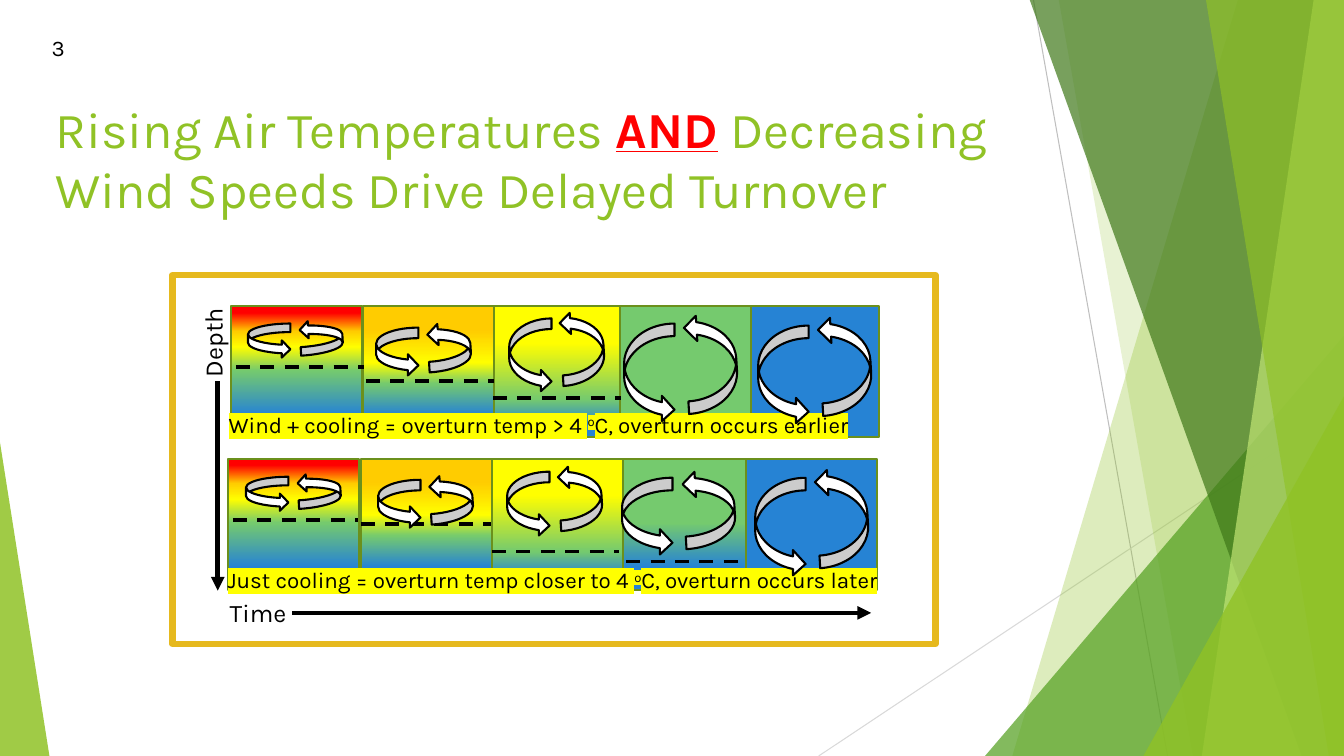
from lxml import etree
from pptx import Presentation
from pptx.dml.color import RGBColor
from pptx.enum import dml, shapes, text
from pptx.oxml import ns
from pptx.util import Inches, Pt

FONT = "Karla"
BLACK, WHITE, YELLOW, BLUE, GREEN = "000000", "FFFFFF", "FFFF00", "2683D4", "75CA6E"
LIME, FOREST, OLIVE, PALE = "90C226", "54A021", "3F7819", "C0E474"

# Gradient stops from the bottom (cold) to the top (warm) of the water
HOT = [(17, BLUE), (51, GREEN), (69, "FFFE00"), (81, "FFCC00"), (95, "FF0000")]
WARM = [(17, BLUE), (41, GREEN), (57, "FFFE00"), (82, "FFCC00")]
MILD = [(10, BLUE), (29, GREEN), (72, "FFFE00")]
COOL = [(17, BLUE), (51, GREEN)]

# Columns in drawing order: left, water colour, thermocline (from, to, y)
WINDY_WATER = [
    (2.29, HOT, (2.34, 3.61, 3.64)),
    (3.6, WARM, (3.63, 4.9, 3.78)),
    (4.9, MILD, (4.89, 6.16, 3.95)),
    (7.42, BLUE, None),
    (6.15, GREEN, None),
]
CALM_WATER = [
    (6.12, COOL, (6.21, 7.42, 5.57)),
    (2.26, HOT, (2.31, 3.55, 5.16)),
    (3.58, WARM, (3.58, 4.87, 5.2)),
    (4.88, MILD, (4.88, 6.14, 5.47)),
    (7.4, BLUE, None),
]
# Mixing cells: left, top, width and height of the left arrow
WINDY_MIXING = [(2.46, 3.21, 0.42, 0.34), (3.73, 3.25, 0.42, 0.48), (5.05, 3.16, 0.42, 0.73),
                (6.19, 3.21, 0.5, 0.98), (7.52, 3.23, 0.5, 0.98)]
CALM_MIXING = [(2.44, 4.73, 0.42, 0.34), (3.75, 4.76, 0.42, 0.48), (5.03, 4.68, 0.42, 0.64),
               (6.17, 4.74, 0.5, 0.77), (7.49, 4.74, 0.5, 0.98)]


def rgb(color):
    return RGBColor.from_string(color)


def sub(parent, tag, **attributes):
    return etree.SubElement(parent, ns.qn(tag), **attributes)


class TurnoverSlide:
    def __init__(self, slide):
        self.slide = slide
        self.shapes = slide.shapes

    def paint(self, shape, fill, line=None, width=1.5, opacity=100):
        shape.shadow.inherit = False
        if isinstance(fill, list):
            self.gradient(shape, fill)
        else:
            shape.fill.solid()
            shape.fill.fore_color.rgb = rgb(fill)
        if opacity < 100:
            color = shape.fill._xPr.find(".//" + ns.qn("a:srgbClr"))
            sub(color, "a:alpha", val=str(opacity * 1000))
        if line:
            shape.line.color.rgb = rgb(line)
            shape.line.width = Pt(width)
        else:
            shape.line.fill.background()
        return shape

    def gradient(self, shape, stops):
        shape.fill.gradient()
        shape.fill.gradient_angle = 90
        stop_list = shape._element.spPr.find(".//" + ns.qn("a:gsLst"))
        for stop in list(stop_list):
            stop_list.remove(stop)
        for position, color in stops:
            sub(sub(stop_list, "a:gs", pos=str(position * 1000)), "a:srgbClr", val=color)

    def shape(self, kind, box, fill, line=None, width=1.5, opacity=100, parent=None):
        shape = (parent or self.shapes).add_shape(kind, *map(Inches, box))
        return self.paint(shape, fill, line, width, opacity)

    def triangle(self, box, apex, fill, opacity):
        triangle = self.shape(shapes.MSO_SHAPE.ISOSCELES_TRIANGLE, box, fill, opacity=opacity)
        triangle.adjustments[0] = apex

    def band(self, top_left, bottom_left, fill, opacity):
        """Facet between a slanted left edge and the right side of the slide."""
        builder = self.shapes.build_freeform(Inches(top_left), Inches(-0.01))
        corners = [(13.33, -0.01), (13.33, 7.5), (bottom_left, 7.5)]
        builder.add_line_segments([(Inches(x), Inches(y)) for x, y in corners])
        self.paint(builder.convert_to_shape(), fill, opacity=opacity)

    def line(self, start, end, color=BLACK, width=2.5, dashed=False, arrow=False):
        points = map(Inches, (*start, *end))
        line = self.shapes.add_connector(shapes.MSO_CONNECTOR.STRAIGHT, *points)
        line.line.color.rgb = rgb(color)
        line.line.width = Pt(width)
        if dashed:
            line.line.dash_style = dml.MSO_LINE.DASH
        if arrow:
            sub(line.line._get_or_add_ln(), "a:tailEnd", type="triangle")
        sub(line._element.spPr, "a:effectLst")

    def style_run(self, run, size, color=BLACK, bold=False):
        run.font.size, run.font.name, run.font.bold = Pt(size), FONT, bold
        run.font.color.rgb = rgb(color)

    def title(self, box, parts):
        title = self.shapes.title
        title.left, title.top, title.width, title.height = map(Inches, box)
        frame = title.text_frame
        frame.auto_size = text.MSO_AUTO_SIZE.NONE
        frame.vertical_anchor = text.MSO_ANCHOR.TOP
        paragraph = frame.paragraphs[0]
        paragraph.alignment = text.PP_ALIGN.LEFT
        for words, color, stressed in parts:
            run = paragraph.add_run()
            run.text = words
            self.style_run(run, 36, color, stressed)
            run.font.underline = stressed

    def label(self, box, words, size, rotation=0):
        label = self.shapes.add_textbox(*map(Inches, box))
        label.rotation = rotation
        label.text_frame.word_wrap = True
        label.text_frame.text = words
        self.style_run(label.text_frame.paragraphs[0].runs[0], size)
        return label

    def caption(self, box, before, after):
        """Highlighted sentence with a raised degree sign in the middle."""
        caption = self.label(box, before, 16)
        paragraph = caption.text_frame.paragraphs[0]
        for words in ("o", after):
            run = paragraph.add_run()
            run.text = words
            self.style_run(run, 16)
        paragraph.runs[1].font._element.set("baseline", "30000")
        for run in paragraph.runs:
            highlight = etree.Element(ns.qn("a:highlight"))
            sub(highlight, "a:srgbClr", val=YELLOW)
            run.font._element.find(ns.qn("a:solidFill")).addnext(highlight)

    def water(self, top, columns):
        for left, fill, _ in columns:
            self.shape(shapes.MSO_SHAPE.RECTANGLE, (left, top, 1.3, 1.3), fill, "6B901C")
        for _, _, thermocline in columns:
            if thermocline:
                start, end, depth = thermocline
                self.line((start, depth), (end, depth), dashed=True)

    def mixing(self, left, top, width, height):
        """Pair of curved arrows turning around one cell."""
        pair = self.shapes.add_group_shape().shapes
        for x, y, angle in ((left, top, 0), (left + 1.23 * width, top - 0.1 * height, 176.5)):
            arrow = self.shape(shapes.MSO_SHAPE.CURVED_RIGHT_ARROW, (x, y, width, height),
                               WHITE, BLACK, parent=pair)
            arrow.rotation = angle


def main():
    deck = Presentation()
    deck.slide_width, deck.slide_height = Inches(13.33), Inches(7.5)
    page = TurnoverSlide(deck.slides.add_slide(deck.slide_layouts[5]))

    # Faceted decoration
    page.line((10.25, 0), (11.58, 7.5), "BFBFBF", 0.75)
    page.line((13.33, 4.03), (8.12, 7.5), "D9D9D9", 0.75)
    page.band(12.28, 10.04, LIME, 30)
    page.band(10.5, 11.83, LIME, 20)
    page.triangle((9.77, 3.33, 3.56, 4.17), 1, FOREST, 72)
    page.band(10.21, 12.91, OLIVE, 70)
    page.band(13.03, 11.92, PALE, 70)
    page.band(11.96, 13.18, LIME, 65)
    page.triangle((11.34, 3.93, 1.99, 3.57), 1, LIME, 80)
    page.triangle((0, 4.39, 0.49, 3.11), 0, LIME, 85)

    # Title and slide number
    page.title((0.45, 0.92, 10.26, 1.44), [
        ("Rising Air Temperatures ", LIME, False),
        ("AND", "FF0000", True),
        (" Decreasing Wind Speeds Drive Delayed Turnover", LIME, False),
    ])
    number = page.label((-0.01, 0.27, 0.75, 0.4), "3", 16)
    number.text_frame.vertical_anchor = text.MSO_ANCHOR.MIDDLE
    number.text_frame.paragraphs[0].alignment = text.PP_ALIGN.RIGHT

    # Diagram frame and water columns
    page.shape(shapes.MSO_SHAPE.RECTANGLE, (1.71, 2.73, 7.57, 3.66), WHITE, "E6B91E", 4.5)
    page.water(4.55, CALM_WATER)
    page.water(3.04, WINDY_WATER)

    # Captions, then the mixing arrows over them
    page.caption((2.17, 4.03, 7.44, 0.37),
                 "Wind + cooling = overturn temp > 4 ", "C, overturn occurs earlier")
    page.caption((2.16, 5.57, 7.38, 0.57),
                 "Just cooling = overturn temp closer to 4 ", "C, overturn occurs later")
    for cell in WINDY_MIXING + CALM_MIXING:
        page.mixing(*cell)

    # Axes
    page.label((1.51, 3.04, 1.2, 0.4), "Depth", 18, rotation=270)
    page.line((2.16, 3.78), (2.16, 5.86), width=3.25, arrow=True)
    page.label((2.18, 5.88, 1.64, 0.4), "Time", 18)
    page.line((2.9, 6.08), (8.64, 6.08), width=3.25, arrow=True)

    deck.save("out.pptx")


if __name__ == "__main__":
    main()
